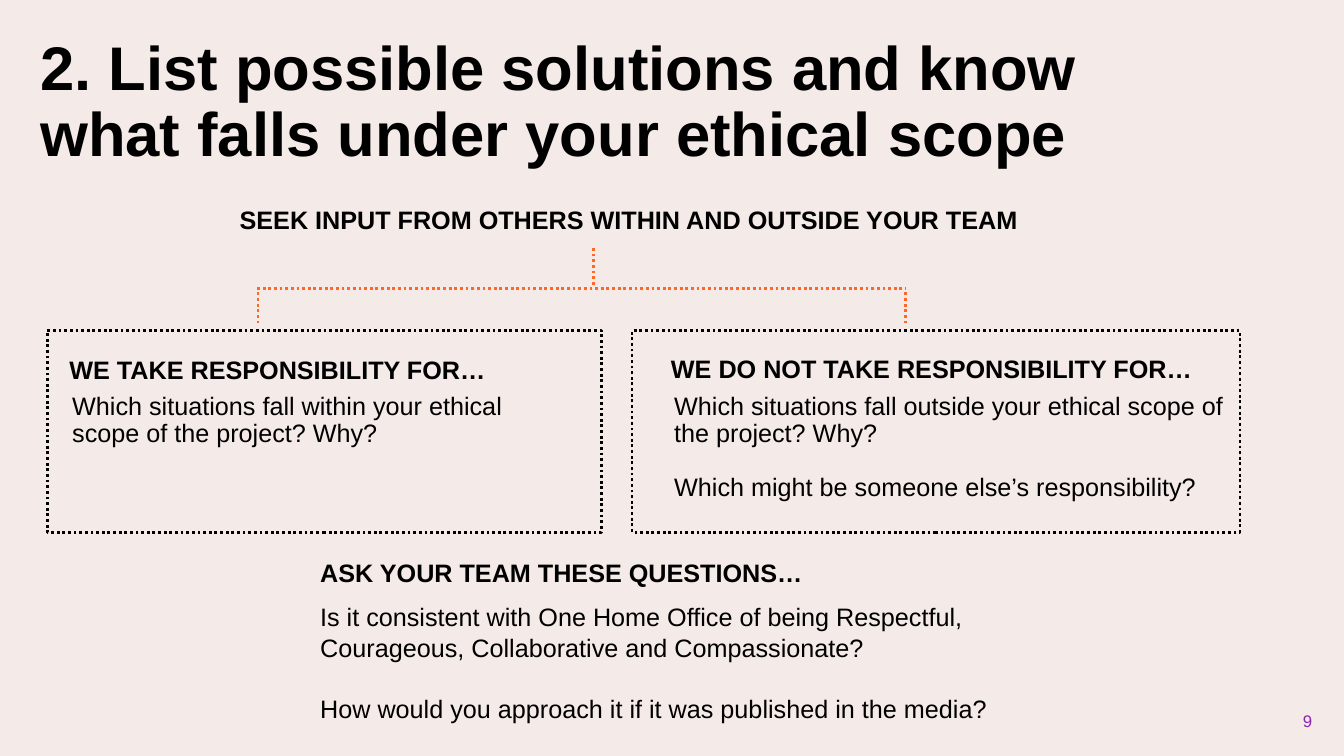
from dataclasses import dataclass

from lxml.etree import SubElement
from pptx import Presentation
from pptx.dml.color import RGBColor
from pptx.enum.dml import MSO_LINE_DASH_STYLE as Dash
from pptx.enum.shapes import MSO_CONNECTOR as Connector, MSO_SHAPE as Preset
from pptx.enum.text import MSO_ANCHOR as Anchor, MSO_AUTO_SIZE as AutoSize, PP_ALIGN as Align
from pptx.oxml.ns import qn
from pptx.slide import Slide
from pptx.text.text import TextFrame
from pptx.util import Cm, Pt

BLUSH = RGBColor(0xF4, 0xEA, 0xE7)
BLACK = RGBColor(0x00, 0x00, 0x00)
ORANGE = RGBColor(0xFF, 0x67, 0x26)
PURPLE = RGBColor(0x8F, 0x23, 0xB3)

FONT = "Arial"
LINE_WIDTH = Pt(2)
BOX_TOP, BOX_HEIGHT = 8.33, 5.08
TEXT_HEIGHT = 0.97


@dataclass(frozen=True)
class ScopeBox:
    left: float
    width: float


@dataclass(frozen=True)
class Branch:
    start: tuple[float, float]
    end: tuple[float, float]


@dataclass(frozen=True)
class TextBlock:
    left: float
    top: float
    width: float
    paragraphs: tuple[str, ...]
    height: float = TEXT_HEIGHT
    size: int = 18
    bold: bool = False
    color: RGBColor = BLACK
    align: Align = Align.LEFT
    anchor: Anchor = Anchor.TOP
    line_spacing: float = 0.9
    gap: float = 0


BOXES = (ScopeBox(1.19, 13.97), ScopeBox(15.93, 15.32))

BRANCHES = (
    Branch((6.48, 7.26), (22.83, 7.26)),
    Branch((14.96, 6.25), (14.96, 7.19)),
    Branch((6.5, 7.37), (6.5, 8.2)),
    Branch((22.81, 7.37), (22.81, 8.2)),
)

TITLE = TextBlock(
    0.76, 0.76, 28.85,
    ("2. List possible solutions and know what falls under your ethical scope",),
    height=3.71, size=44, bold=True, anchor=Anchor.MIDDLE,
)

TEXT_BLOCKS = (
    TextBlock(5.79, 5.11, 20.47,
              ("SEEK INPUT FROM OTHERS WITHIN AND OUTSIDE YOUR TEAM",), bold=True),
    TextBlock(1.5, 8.89, 14.5, ("WE TAKE RESPONSIBILITY FOR…",), bold=True),
    TextBlock(1.57, 9.8, 12.37,
              ("Which situations fall within your ethical scope of the project? Why?",)),
    TextBlock(16.66, 8.86, 14.5, ("WE DO NOT TAKE RESPONSIBILITY FOR…",), bold=True),
    TextBlock(16.74, 9.8, 14.4,
              ("Which situations fall outside your ethical scope of the project? Why?",
               "Which might be someone else’s responsibility?"), gap=19),
    TextBlock(7.82, 14.0, 18.52, ("ASK YOUR TEAM THESE QUESTIONS…",), bold=True),
    TextBlock(7.82, 15.04, 20.19,
              ("Is it consistent with One Home Office of being Respectful, "
               "Courageous, Collaborative and Compassionate?",
               "How would you approach it if it was published in the media?"),
              height=3.33, line_spacing=1.0, gap=22),
    TextBlock(25.7, 17.65, 7.62, ("9",), height=1.02, size=12, color=PURPLE,
              align=Align.RIGHT, anchor=Anchor.MIDDLE, line_spacing=1.0),
)


def write_text(frame: TextFrame, block: TextBlock) -> None:
    frame.word_wrap = True
    frame.auto_size = AutoSize.NONE
    frame.vertical_anchor = block.anchor
    for index, text in enumerate(block.paragraphs):
        paragraph = frame.add_paragraph() if index else frame.paragraphs[0]
        paragraph.text = text
        paragraph.alignment = block.align
        paragraph.line_spacing = block.line_spacing
        paragraph.space_before = Pt(block.gap if index else 0)
        paragraph.font.name = FONT
        paragraph.font.size = Pt(block.size)
        paragraph.font.bold = block.bold
        paragraph.font.color.rgb = block.color


def add_title(slide: Slide, block: TextBlock) -> None:
    title = slide.shapes.title
    title.left, title.top = Cm(block.left), Cm(block.top)
    title.width, title.height = Cm(block.width), Cm(block.height)
    write_text(title.text_frame, block)


def add_text(slide: Slide, block: TextBlock) -> None:
    shape = slide.shapes.add_textbox(
        Cm(block.left), Cm(block.top), Cm(block.width), Cm(block.height))
    write_text(shape.text_frame, block)


def add_box(slide: Slide, box: ScopeBox) -> None:
    shape = slide.shapes.add_shape(
        Preset.RECTANGLE, Cm(box.left), Cm(BOX_TOP), Cm(box.width), Cm(BOX_HEIGHT))
    shape.shadow.inherit = False
    shape.fill.background()
    shape.line.color.rgb = BLACK
    shape.line.width = LINE_WIDTH
    shape.line.dash_style = Dash.ROUND_DOT


def add_branch(slide: Slide, branch: Branch) -> None:
    connector = slide.shapes.add_connector(
        Connector.STRAIGHT, *map(Cm, branch.start), *map(Cm, branch.end))
    connector.line.color.rgb = ORANGE
    connector.line.width = LINE_WIDTH
    connector.line.dash_style = Dash.ROUND_DOT
    SubElement(connector._element.spPr, qn("a:effectLst"))


def main() -> None:
    presentation = Presentation()
    presentation.slide_width, presentation.slide_height = Cm(33.87), Cm(19.05)
    slide = presentation.slides.add_slide(presentation.slide_layouts[5])

    # Background and title
    slide.background.fill.solid()
    slide.background.fill.fore_color.rgb = BLUSH
    add_title(slide, TITLE)

    # Tree leading to the two scope boxes
    for branch in BRANCHES:
        add_branch(slide, branch)
    for box in BOXES:
        add_box(slide, box)

    # Headings, questions and page number
    for block in TEXT_BLOCKS:
        add_text(slide, block)

    presentation.save("out.pptx")


if __name__ == "__main__":
    main()
